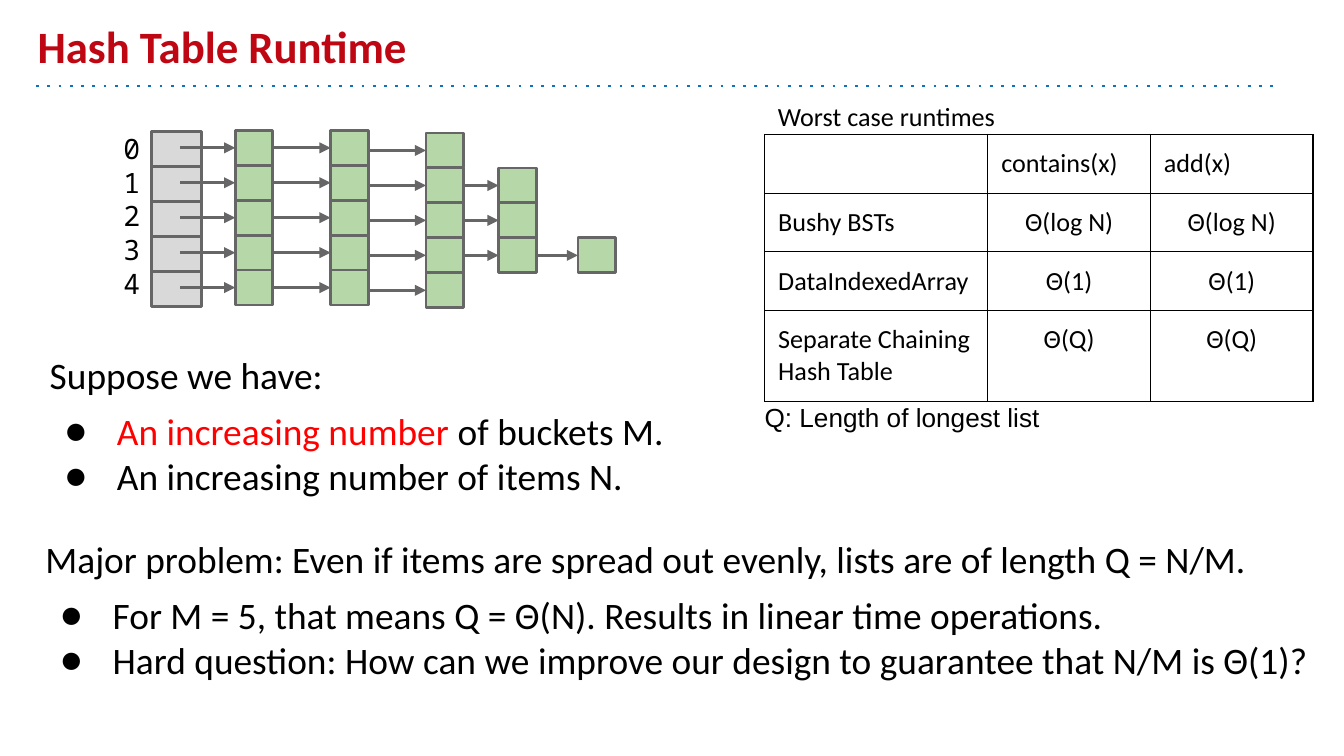
from lxml.etree import SubElement
from pptx import Presentation
from pptx.dml.color import RGBColor
from pptx.enum.shapes import MSO_CONNECTOR, MSO_SHAPE
from pptx.enum.text import MSO_ANCHOR, MSO_AUTO_SIZE, PP_ALIGN
from pptx.oxml.ns import qn
from pptx.util import Inches, Pt

COLORS = {
    "title": "BE0712", "rule": "1072BD", "text": "000000", "accent": "FF0000",
    "bucket": "D9D9D9", "node": "B6D7A8", "outline": "666666", "cell": "FFFFFF",
}
TOP, PITCH = 0.97, 0.26  # first row of the diagram and the row step
# left edge, vertical shift, rows that reach this column
NODE_COLUMNS = [
    (1.75, 0, range(5)),
    (2.46, 0, range(5)),
    (3.17, 0.02, range(5)),
    (3.71, 0.02, range(1, 4)),
    (4.30, 0.02, range(3, 4)),
]
RUNTIMES = [
    ["", "contains(x)", "add(x)"],
    ["Bushy BSTs", "Θ(log N)", "Θ(log N)"],
    ["DataIndexedArray", "Θ(1)", "Θ(1)"],
    ["Separate Chaining Hash Table", "Θ(Q)", "Θ(Q)"],
]


def rgb(name):
    return RGBColor.from_string(COLORS[name])


def style_runs(p, size, font="Calibri", color="text", bold=False):
    for r in p.runs:
        r.font.size, r.font.name, r.font.bold = Pt(size), font, bold
        r.font.color.rgb = rgb(color)


def set_frame(tf, anchor=MSO_ANCHOR.TOP):
    tf.word_wrap = True
    tf.auto_size = MSO_AUTO_SIZE.NONE
    tf.vertical_anchor = anchor
    tf.margin_left = tf.margin_right = Inches(0.1)
    tf.margin_top = tf.margin_bottom = Inches(0.1)


def place(shape, x, y, w, h):
    shape.left, shape.top, shape.width, shape.height = map(Inches, (x, y, w, h))


def add_text(s, box, text, size, font="Calibri", anchor=MSO_ANCHOR.TOP):
    tf = s.shapes.add_textbox(*map(Inches, box)).text_frame
    set_frame(tf, anchor)
    tf.text = text
    for p in tf.paragraphs:
        style_runs(p, size, font)
    return tf


def set_bullet(p, bulleted):
    pPr = p._p.get_or_add_pPr()
    pPr.set("marL", str(Inches(0.5 if bulleted else 0)))
    pPr.set("indent", str(Inches(-0.39 if bulleted else 0)))
    if bulleted:
        color = SubElement(pPr, qn("a:buClr"))
        SubElement(color, qn("a:srgbClr"), val=COLORS["text"])
        SubElement(pPr, qn("a:buSzPts"), val="2000")
        SubElement(pPr, qn("a:buFont"), typeface="Calibri")
        SubElement(pPr, qn("a:buChar"), char="●")
    else:
        SubElement(pPr, qn("a:buNone"))


def write_list(tf, lines):
    """Write a plain lead line followed by bulleted lines."""
    set_frame(tf)
    tf.text = "\n".join(lines)
    for i, p in enumerate(tf.paragraphs):
        p.space_before = Pt(6 if i < 2 else 0)
        set_bullet(p, i > 0)
        style_runs(p, 20)


def add_cell(s, x, y, w, fill):
    sp = s.shapes.add_shape(MSO_SHAPE.RECTANGLE, *map(Inches, (x, y, w, PITCH)))
    sp.shadow.inherit = False
    sp.fill.solid()
    sp.fill.fore_color.rgb = rgb(fill)
    sp.line.color.rgb = rgb("outline")
    sp.line.width = Pt(1.5)
    return sp


def add_line(s, x1, y1, x2, y2, color):
    line = s.shapes.add_connector(MSO_CONNECTOR.STRAIGHT, x1, y1, x2, y2)
    line.line.color.rgb = rgb(color)
    line.line.width = Pt(1.5)
    SubElement(line._element.spPr, qn("a:effectLst"))
    return line


def add_arrow(s, x, source, target):
    y = target.top + target.height // 2
    arrow = add_line(s, x, y, target.left, y, "outline")
    if x == source.left + source.width and source.top == target.top:
        arrow.begin_connect(source, 3)
    arrow.end_connect(target, 1)
    SubElement(arrow.line._get_or_add_ln(), qn("a:tailEnd"), type="triangle")


def add_diagram(s):
    # Buckets, with the last cell of each chain kept by row
    ends = [add_cell(s, 1.13, TOP + 0.01 + i * PITCH, 0.37, "bucket")
            for i in range(5)]
    digits = add_text(s, (0.82, 0.88, 0.32, 1.63), "0\n1\n2\n3\n4", 15,
                      "Noto Sans Mono")
    for p in digits.paragraphs:
        p.alignment = PP_ALIGN.RIGHT
        p.line_spacing = Pt(18)
    # Chained nodes
    for col, (x, shift, rows) in enumerate(NODE_COLUMNS):
        for i in rows:
            node = add_cell(s, x, TOP + shift + i * PITCH, 0.28, "node")
            source = ends[i]
            start = source.left + source.width if col else Inches(1.34)
            add_arrow(s, start, source, node)
            ends[i] = node


def format_table_cell(cell, text, centered):
    cell.margin_left = cell.margin_right = Inches(0.1)
    cell.margin_top = cell.margin_bottom = Inches(0.1)
    p = cell.text_frame.paragraphs[0]
    if text:
        p.text = text
        style_runs(p, 14)
    else:
        SubElement(p._p, qn("a:endParaRPr"), sz="1400")
    if centered:
        p.alignment = PP_ALIGN.CENTER
    tcPr = cell._tc.get_or_add_tcPr()
    for side in ("lnL", "lnR", "lnT", "lnB"):
        ln = SubElement(tcPr, qn("a:" + side), w=str(Pt(0.75)))
        fill = SubElement(ln, qn("a:solidFill"))
        SubElement(fill, qn("a:srgbClr"), val=COLORS["text"])
    cell.fill.solid()
    cell.fill.fore_color.rgb = rgb("cell")


def add_runtime_table(s):
    frame = s.shapes.add_table(4, 3, *map(Inches, (5.69, 1, 4.08, 1.68)))
    table = frame.table
    table.first_row = table.horz_banding = False
    for column, width in zip(table.columns, (1.66, 1.21, 1.21)):
        column.width = Inches(width)
    for i, row in enumerate(RUNTIMES):
        for j, text in enumerate(row):
            format_table_cell(table.cell(i, j), text, i > 0 and j > 0)


def main():
    prs = Presentation()
    prs.slide_width = Inches(10)
    prs.slide_height = prs.slide_width * 9 // 16
    s = prs.slides.add_slide(prs.slide_layouts[1])

    # Title and dotted rule
    title = s.shapes.title
    place(title, 0.18, 0.1, 9, 0.54)
    set_frame(title.text_frame, MSO_ANCHOR.BOTTOM)
    title.text_frame.text = "Hash Table Runtime"
    p = title.text_frame.paragraphs[0]
    p.alignment = PP_ALIGN.LEFT
    style_runs(p, 24, color="title", bold=True)
    y = Inches(0.64)
    rule = add_line(s, Inches(0.27), y, Inches(9.5), y, "rule")
    SubElement(rule.line._get_or_add_ln(), qn("a:prstDash"), val="dot")

    # Assumptions
    body = s.placeholders[1]
    place(body, 0.27, 2.52, 5.33, 1.34)
    write_list(body.text_frame, ["Suppose we have:", "An increasing number",
                                 "An increasing number of items N."])
    p = body.text_frame.paragraphs[1]
    p.add_run().text = " of buckets M."
    style_runs(p, 20)
    p.runs[0].font.color.rgb = rgb("accent")

    add_diagram(s)

    # Runtime table with its captions
    add_text(s, (5.69, 0.73, 2.29, 0.27), "Worst case runtimes", 14,
             anchor=MSO_ANCHOR.MIDDLE)
    add_runtime_table(s)
    add_text(s, (5.59, 2.89, 2.55, 0.54), "Q: Length of longest list", 14, "Arial")

    # Problem statement
    problem = s.shapes.add_textbox(*map(Inches, (0.24, 3.89, 9.74, 1.46)))
    write_list(problem.text_frame, [
        "Major problem: Even if items are spread out evenly, "
        "lists are of length Q = N/M.",
        "For M = 5, that means Q = Θ(N). Results in linear time operations.",
        "Hard question: How can we improve our design to guarantee "
        "that N/M is Θ(1)?",
    ])
    prs.save("out.pptx")


if __name__ == "__main__":
    main()
